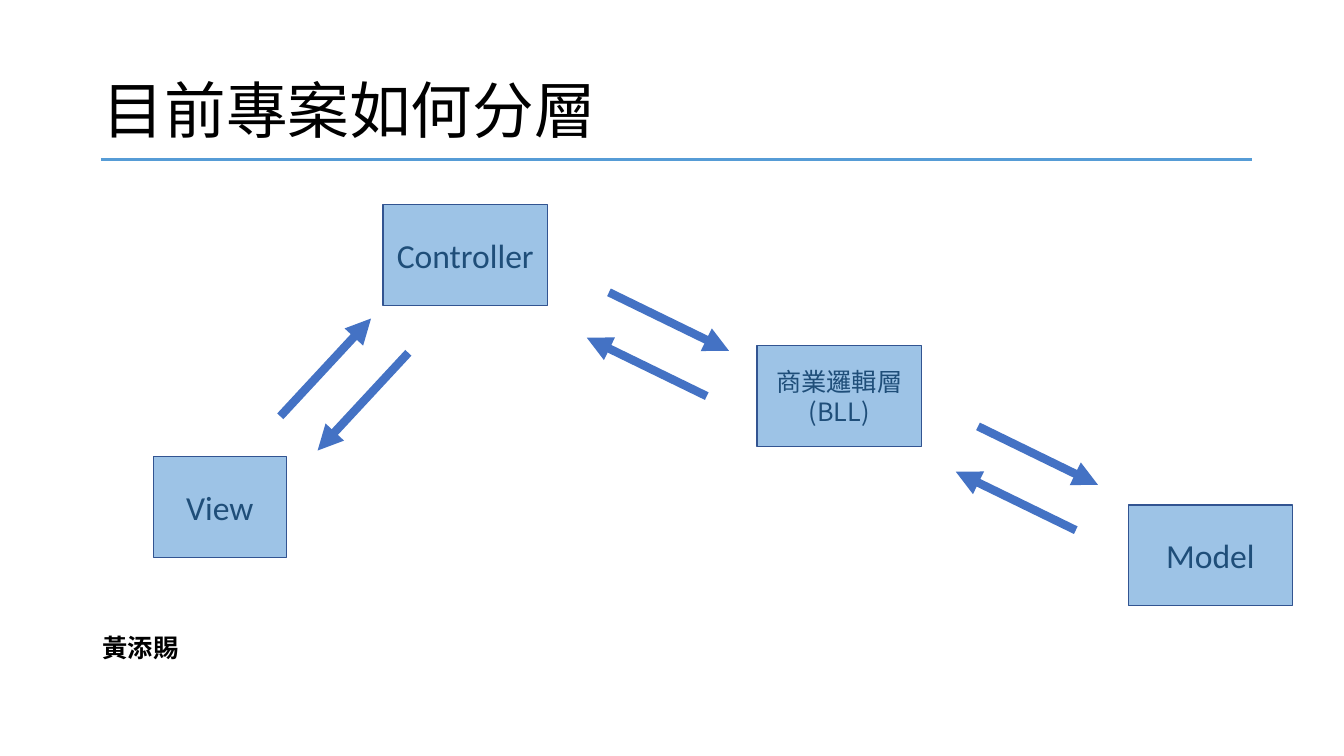
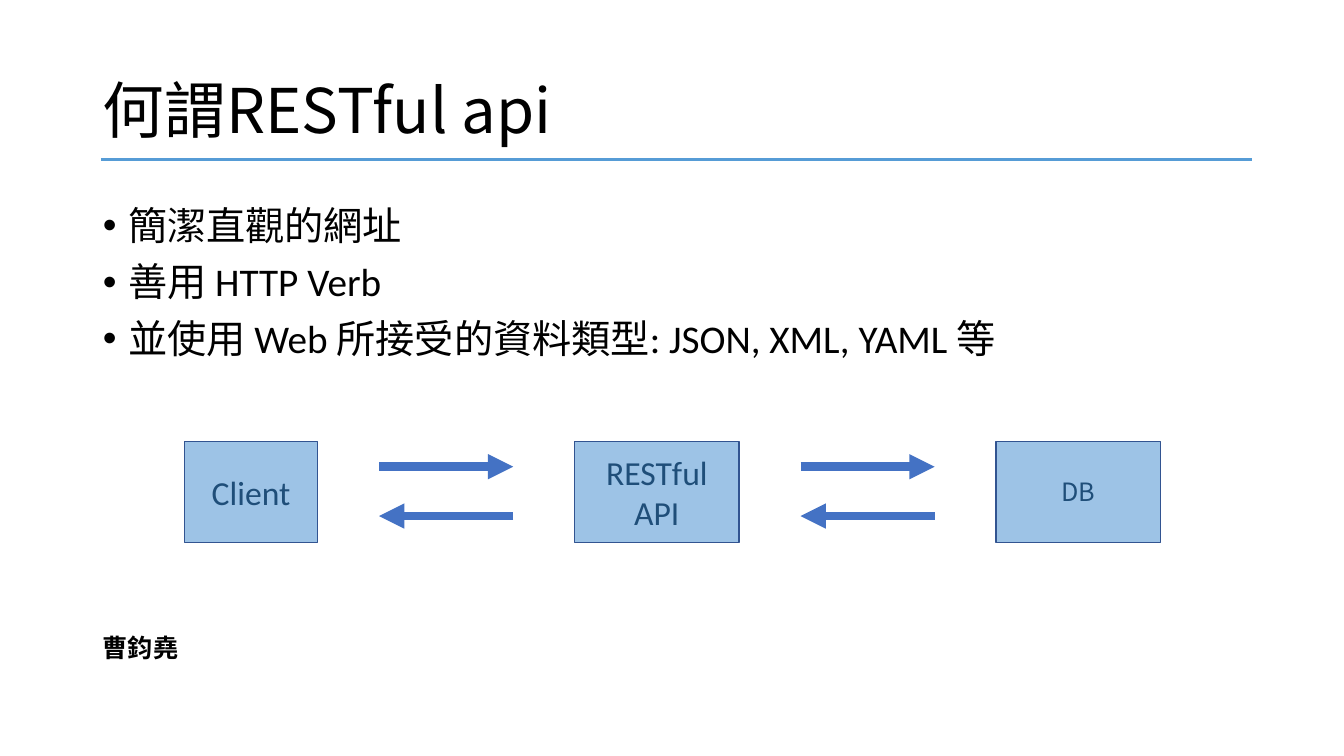
from lxml import etree
from pptx import Presentation
from pptx.dml.color import RGBColor
from pptx.enum.shapes import MSO_CONNECTOR, MSO_SHAPE
from pptx.enum.text import MSO_ANCHOR, MSO_AUTO_SIZE, PP_ALIGN
from pptx.oxml.ns import qn
from pptx.util import Inches, Pt

BLACK = RGBColor(0x00, 0x00, 0x00)
RULE_BLUE = RGBColor(0x56, 0x9C, 0xD6)
ARROW_BLUE = RGBColor(0x44, 0x72, 0xC4)
BOX_FILL = RGBColor(0x9D, 0xC3, 0xE6)
BOX_LINE = RGBColor(0x32, 0x54, 0x91)
BOX_TEXT = RGBColor(0x1F, 0x4E, 0x79)

LATIN = "Calibri"
CJK = "Noto Sans CJK SC"

STRAIGHT = MSO_CONNECTOR.STRAIGHT
RECTANGLE = MSO_SHAPE.RECTANGLE
LEFT, CENTER = PP_ALIGN.LEFT, PP_ALIGN.CENTER
TOP, MIDDLE = MSO_ANCHOR.TOP, MSO_ANCHOR.MIDDLE
NO_FIT, GROW = MSO_AUTO_SIZE.NONE, MSO_AUTO_SIZE.SHAPE_TO_FIT_TEXT

LAYOUT_CONTENT, LAYOUT_TITLE_ONLY = 1, 5
BOX_HEIGHT = 1
NARROW, WIDE = 1.32, 1.63


def write_text(frame, text, size, font=CJK, color=BLACK, bold=False, align=LEFT,
               anchor=TOP, wrap=True, fit=NO_FIT, spacing=None, before=None):
    """Fill a text frame, one paragraph for each line of text."""
    frame.text = text
    frame.word_wrap = wrap
    frame.auto_size = fit
    frame.vertical_anchor = anchor
    for paragraph in frame.paragraphs:
        paragraph.alignment = align
        paragraph.line_spacing = spacing
        if before is not None:
            paragraph.space_before = Pt(before)
        for run in paragraph.runs:
            run.font.size = Pt(size)
            run.font.name = font
            run.font.bold = bold
            run.font.color.rgb = color
            east_asian = etree.SubElement(run.font._element, qn("a:ea"))
            east_asian.set("typeface", CJK)


def place(shape, left, top, width, height):
    shape.left, shape.top = Inches(left), Inches(top)
    shape.width, shape.height = Inches(width), Inches(height)


class Deck:
    def __init__(self):
        self.presentation = Presentation()
        self.presentation.slide_width = Inches(13.33)
        self.presentation.slide_height = Inches(7.5)
        self.slide = None

    def new_slide(self, title, author, layout):
        """Start a slide with its title, title rule and author."""
        self.slide = self.presentation.slides.add_slide(
            self.presentation.slide_layouts[layout])
        heading = self.slide.shapes.title
        place(heading, 0.92, 0.4, 11.5, 1.45)
        write_text(heading.text_frame, title, 44, anchor=MIDDLE, spacing=0.9)
        self.line((1, 1.58), (12.42, 1.58), RULE_BLUE, 2.25)
        credit = self.slide.shapes.add_textbox(
            Inches(0.92), Inches(6.22), Inches(0.96), Inches(0.4))
        write_text(credit.text_frame, author, 18, bold=True, wrap=False, fit=GROW)

    def bullets(self, items):
        body = self.slide.placeholders[1]
        place(body, 0.92, 2, 11.5, 4.76)
        write_text(body.text_frame, "\n".join(items), 28, font=LATIN,
                   spacing=0.9, before=10)
        for paragraph in body.text_frame.paragraphs:
            properties = paragraph._p.get_or_add_pPr()
            properties.set("marL", str(Inches(0.25)))
            properties.set("indent", str(-Inches(0.25)))
            etree.SubElement(properties, qn("a:buChar")).set("char", "•")

    def box(self, text, left, top, width=WIDE, size=24, font=LATIN):
        box = self.slide.shapes.add_shape(
            RECTANGLE, Inches(left), Inches(top), Inches(width), Inches(BOX_HEIGHT))
        box.shadow.inherit = False
        box.fill.solid()
        box.fill.fore_color.rgb = BOX_FILL
        box.line.color.rgb = BOX_LINE
        box.line.width = Pt(1)
        write_text(box.text_frame, text, size, font=font, color=BOX_TEXT,
                   align=CENTER, anchor=MIDDLE)

    def line(self, start, end, color, width):
        line = self.slide.shapes.add_connector(
            STRAIGHT, *(Inches(value) for value in (*start, *end)))
        line.line.color.rgb = color
        line.line.width = Pt(width)
        etree.SubElement(line._element.spPr, qn("a:effectLst"))
        return line

    def arrow(self, start, tip):
        arrow = self.line(start, tip, ARROW_BLUE, 6)
        outline = arrow.line._get_or_add_ln()
        etree.SubElement(outline, qn("a:tailEnd")).set("type", "triangle")

    def exchange(self, start, tip, shift):
        """Draw an arrow and its return arrow, moved sideways by shift."""
        self.arrow(start, tip)
        back_start, back_tip = (
            (x + shift[0], y + shift[1]) for x, y in (tip, start))
        self.arrow(back_start, back_tip)


def layers_slide(deck):
    deck.new_slide("目前專案如何分層", "黃添賜", LAYOUT_TITLE_ONLY)

    # Layers
    deck.box("Controller", 3.8, 2.03)
    deck.box("View", 1.52, 4.53, NARROW)
    deck.box("Model", 11.19, 5.01)
    deck.box("商業邏輯層\n(BLL)", 7.51, 3.43, size=18, font=CJK)

    # Calls between neighbouring layers
    deck.exchange((2.78, 4.13), (3.68, 3.16), shift=(0.37, 0.34))
    for left, top in ((6.04, 2.9), (9.7, 4.23)):
        deck.exchange((left, top), (left + 1.19, top + 0.58), shift=(-0.22, 0.45))


def restful_slide(deck):
    deck.new_slide("何謂RESTful api", "曹鈞堯", LAYOUT_CONTENT)
    deck.bullets(["簡潔直觀的網址", "善用 HTTP Verb",
                  "並使用 Web 所接受的資料類型: JSON, XML, YAML 等"])

    # Client, service and database in a row
    row_top, gap, arrow_length = 4.38, 0.61, 1.33
    stages = (("Client", NARROW, 24, LATIN),
              ("RESTful API", WIDE, 24, LATIN),
              ("DB", WIDE, 18, CJK))
    left = 1.83
    for index, (name, width, size, font) in enumerate(stages):
        if index:
            start = left + gap
            deck.exchange((start, row_top + 0.25),
                          (start + arrow_length, row_top + 0.25), shift=(0, 0.49))
            left = start + arrow_length + gap
        deck.box(name, left, row_top, width, size, font)
        left += width


def main():
    deck = Deck()
    layers_slide(deck)
    restful_slide(deck)
    deck.presentation.save("out.pptx")


if __name__ == "__main__":
    main()
